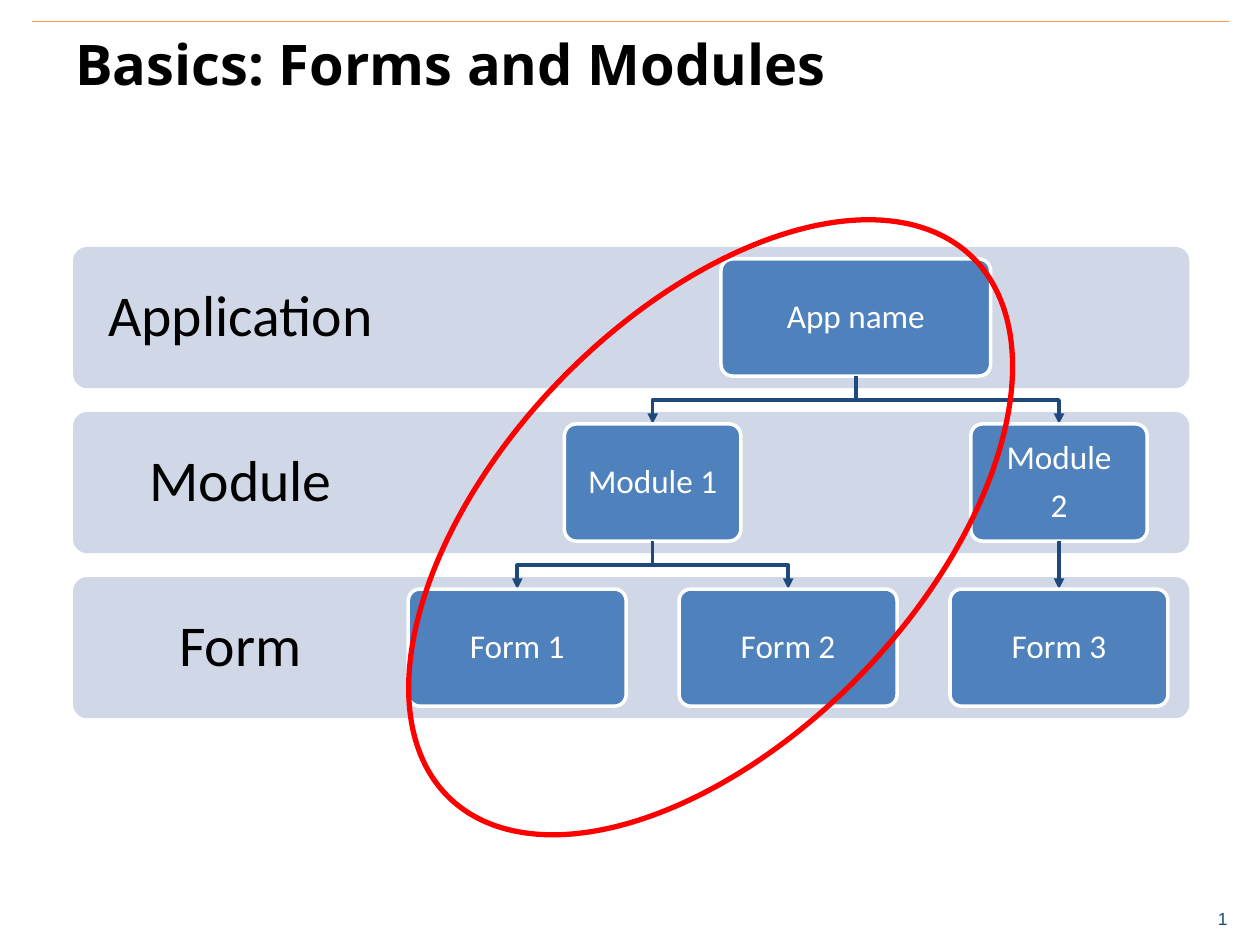
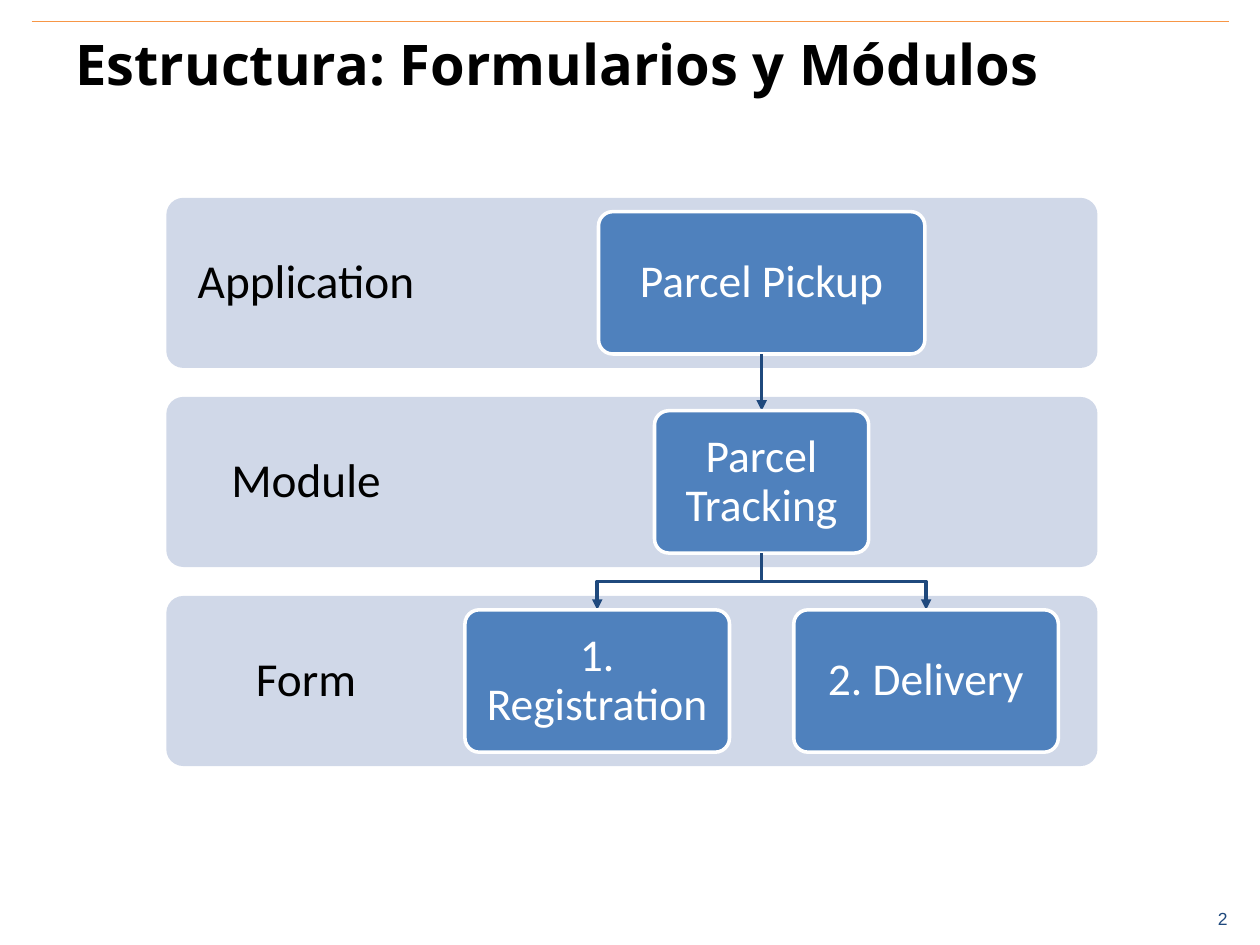
from pptx import Presentation
from pptx.dml.color import RGBColor
from pptx.enum.shapes import MSO_CONNECTOR, MSO_SHAPE
from pptx.enum.text import MSO_ANCHOR, PP_ALIGN
from pptx.oxml.ns import qn
from pptx.util import Inches, Pt
from lxml.etree import SubElement

# Shared look
rgb = RGBColor.from_string
BLACK, WHITE, NAVY, BLUE = "000000", "FFFFFF", "1F497D", "4F81BD"
PALE, ORANGE, RED = "D0D8E8", "F79646", "FF0000"
BODY = "Calibri"
LEVELS = ["Application", "Module", "Form"]

prs = Presentation()
prs.slide_width, prs.slide_height = Inches(10), Inches(7.5)
CELL = prs.slide_width / 100  # square grid, 100 columns by 75 rows


def cells(*values):
    return [round(v * CELL) for v in values]


def write(sp, lines, font, size, color, align=PP_ALIGN.CENTER, bold=False,
          inset=None, wrap=True, spaced=False):
    tf = sp.text_frame
    tf.word_wrap = wrap
    tf.vertical_anchor = MSO_ANCHOR.MIDDLE
    if inset is not None:
        tf.margin_left = tf.margin_right = tf.margin_top = tf.margin_bottom = cells(inset)[0]
    for i, line in enumerate(lines):
        p = tf.add_paragraph() if i else tf.paragraphs[0]
        p.alignment = align
        if spaced:
            p.line_spacing, p.space_after = 0.9, Pt(0.35 * size)
        r = p.add_run()
        r.text = line
        r.font.name, r.font.size, r.font.bold = font, Pt(size), bold
        r.font.color.rgb = rgb(color)


# Band area, box sizes by level, and the tree: (lines of text, index of parent)
slides = [
    dict(title="Basics: Forms and Modules",
         left=5.8, top=19.6, width=88.6, band=11.2, pitch=13.1,
         label_size=33, label_inset=2.6,
         box_widths=[21.4, 14, 17.3], box=9.3, box_size=19, box_inset=0.8,
         first_leaf=41.05, leaf_step=21.5,
         tree=[[(["App name"], None)],
               [(["Module 1"], 0), (["Module", "2"], 0)],
               [(["Form 1"], 0), (["Form 2"], 0), (["Form 3"], 1)]],
         ellipse=(39.7, 12, 33.4, 59.7)),
    dict(title="Estructura: Formularios y Módulos",
         left=13.2, top=15.7, width=73.9, band=13.5, pitch=15.8,
         label_size=27, label_inset=2.1,
         box_widths=[25.9, 17, 21], box=11.3, box_size=26, box_inset=1.1,
         first_leaf=47.4, leaf_step=26.1,
         tree=[[(["Parcel Pickup"], None)],
               [(["Parcel Tracking"], 0)],
               [(["1. Registration"], 0), (["2. Delivery"], 0)]],
         ellipse=None),
]

for number, d in enumerate(slides, 1):
    s = prs.slides.add_slide(prs.slide_layouts[6])

    # Page number, top rule and title
    sp = s.shapes.add_textbox(*cells(94.1, 70.8, 5.9, 4.2))
    write(sp, [str(number)], "Arial", 10, NAVY, wrap=False)
    rule = s.shapes.add_connector(MSO_CONNECTOR.STRAIGHT, *cells(2.5, 1.7, 97.5, 1.7))
    rule.line.color.rgb, rule.line.width = rgb(ORANGE), Pt(0.75)
    SubElement(rule.element.spPr, qn("a:effectLst"))
    sp = s.shapes.add_textbox(*cells(5, 2.5, 90, 5))
    write(sp, [d["title"]], "Noto Sans", 32, BLACK, PP_ALIGN.LEFT, bold=True)

    # Level bands with their labels
    tops = [d["top"] + i * d["pitch"] for i in range(len(LEVELS))]
    for level, top in zip(LEVELS, tops):
        sp = s.shapes.add_shape(MSO_SHAPE.ROUNDED_RECTANGLE,
                                *cells(d["left"], top, d["width"], d["band"]))
        sp.adjustments[0] = 0.1
        sp.shadow.inherit = False
        sp.fill.solid()
        sp.fill.fore_color.rgb = rgb(PALE)
        sp.line.fill.background()
        sp = s.shapes.add_textbox(*cells(d["left"], top, 0.3 * d["width"], d["band"]))
        write(sp, [level], BODY, d["label_size"], BLACK,
              inset=d["label_inset"], spaced=True)

    # Leaves are evenly spaced; each parent is centred over its children
    tree = d["tree"]
    centres = [[d["first_leaf"] + i * d["leaf_step"] for i in range(len(tree[-1]))]]
    for row in (1, 0):
        parents = []
        for i in range(len(tree[row])):
            xs = [x for x, node in zip(centres[0], tree[row + 1]) if node[1] == i]
            parents.append(sum(xs) / len(xs))
        centres.insert(0, parents)

    # Arrows and boxes, level by level
    for row, nodes in enumerate(tree):
        y = tops[row] + (d["band"] - d["box"]) / 2
        w = d["box_widths"][row]
        for (lines, parent), x in zip(nodes, centres[row]):
            if parent is not None:
                px, py = centres[row - 1][parent], y - d["pitch"] + d["box"]
                if abs(px - x) < 0.01:
                    arrow = s.shapes.add_connector(MSO_CONNECTOR.STRAIGHT,
                                                   *cells(x, py, x, y))
                    SubElement(arrow.element.spPr, qn("a:effectLst"))
                else:
                    mid = (py + y) / 2
                    fb = s.shapes.build_freeform(*cells(px, py))
                    fb.add_line_segments([cells(px, mid), cells(x, mid), cells(x, y)],
                                         close=False)
                    arrow = fb.convert_to_shape()
                    arrow.fill.background()
                    arrow.shadow.inherit = False
                arrow.line.color.rgb, arrow.line.width = rgb(NAVY), Pt(2)
                ln = arrow.element.spPr.find(qn("a:ln"))
                SubElement(ln, qn("a:tailEnd")).set("type", "triangle")
            sp = s.shapes.add_shape(MSO_SHAPE.ROUNDED_RECTANGLE,
                                    *cells(x - w / 2, y, w, d["box"]))
            sp.adjustments[0] = 0.1
            sp.shadow.inherit = False
            sp.fill.solid()
            sp.fill.fore_color.rgb = rgb(BLUE)
            sp.line.color.rgb, sp.line.width = rgb(WHITE), Pt(2)
            write(sp, lines, BODY, d["box_size"], WHITE,
                  inset=d["box_inset"], spaced=True)

    # Highlight ring
    if d["ellipse"]:
        sp = s.shapes.add_shape(MSO_SHAPE.OVAL, *cells(*d["ellipse"]))
        sp.rotation = 44
        sp.shadow.inherit = False
        sp.fill.background()
        sp.line.color.rgb, sp.line.width = rgb(RED), Pt(3)

prs.save("out.pptx")
